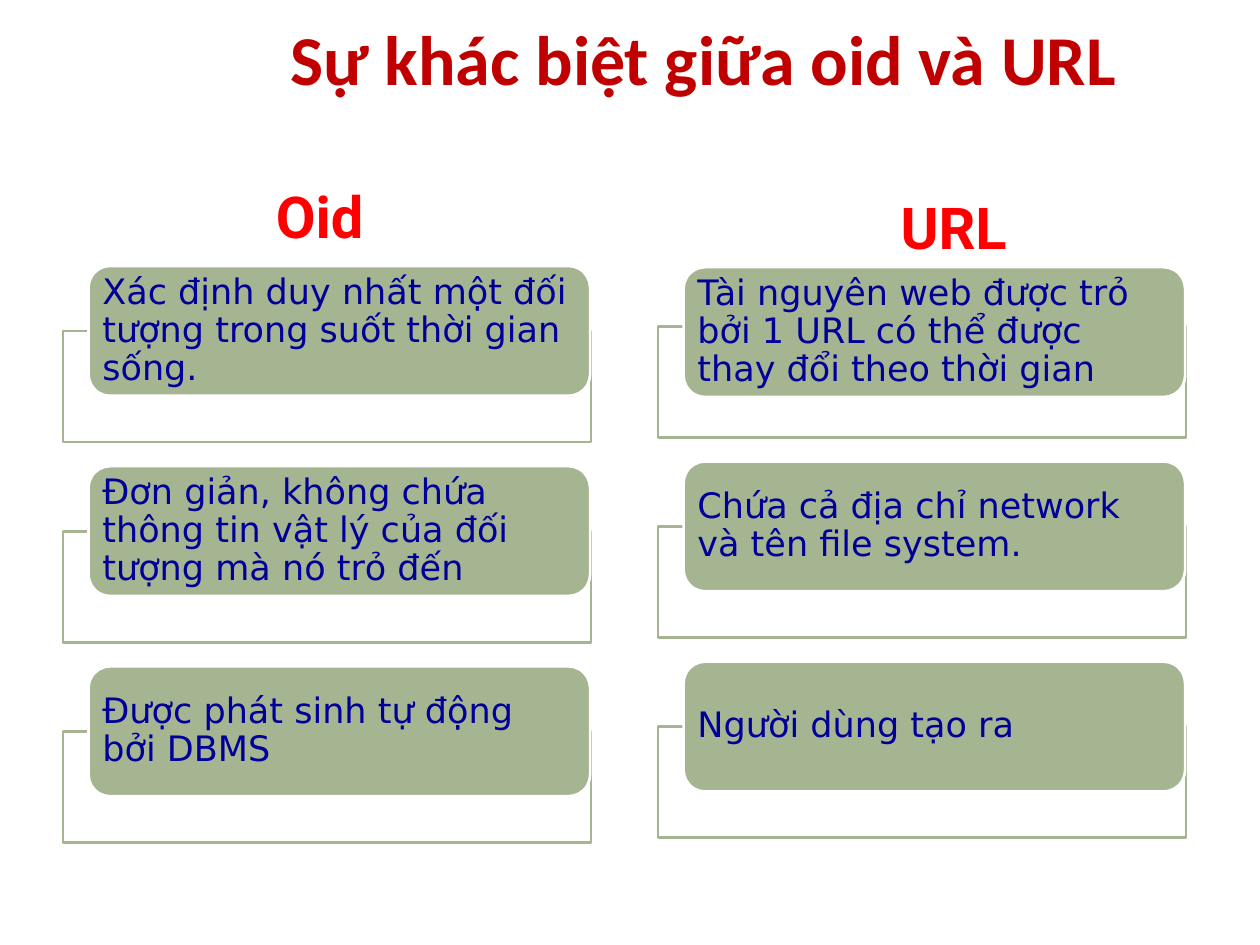
from dataclasses import dataclass

from pptx import Presentation
from pptx.dml.color import RGBColor
from pptx.enum.shapes import MSO_SHAPE
from pptx.enum.text import MSO_ANCHOR, MSO_AUTO_SIZE, PP_ALIGN
from pptx.util import Pt

SAGE, WHITE, NAVY = "A5B592", "FFFFFF", "000099"
ROW_PITCH = 114.4
FRAME_WIDTH, FRAME_HEIGHT = 301.7, 63.4
CARD_WIDTH, CARD_HEIGHT = 286.6, 74.2
CARD_INDENT = 14.6


@dataclass
class Column:
    heading: str
    heading_left: float
    heading_top: float
    heading_width: float
    left: float
    frame_top: float
    card_top: float
    first_card_shift: float
    points: list[str]


COLUMNS = [
    Column("Oid", 150.5, 100, 70, 36, 189.2, 152, 0, [
        "Xác định duy nhất một đối tượng trong suốt thời gian sống.",
        "Đơn giản, không chứa thông tin vật lý của đối tượng mà nó trỏ đến",
        "Được phát sinh tự động bởi DBMS",
    ]),
    Column("URL", 507.6, 106, 83, 376, 186.5, 149.3, 3.4, [
        "Tài nguyên web được trỏ bởi 1 URL có thể được thay đổi theo thời gian",
        "Chứa cả địa chỉ network và tên file system.",
        "Người dùng tạo ra",
    ]),
]


def color(value: str) -> RGBColor:
    return RGBColor.from_string(value)


def write(frame, text: str, font: str, size: float, ink: str, bold: bool = False):
    frame.text = text
    para = frame.paragraphs[0]
    span = para.runs[0].font
    span.name, span.size, span.bold = font, Pt(size), bold
    span.color.rgb = color(ink)
    return para


def draw_box(page, kind, left: float, top: float, width: float, height: float,
             fill: str, line: str):
    box = page.shapes.add_shape(kind, Pt(left), Pt(top), Pt(width), Pt(height))
    box.shadow.inherit = False
    box.fill.solid()
    box.fill.fore_color.rgb = color(fill)
    box.line.color.rgb = color(line)
    box.line.width = Pt(1.5)
    return box


def draw_card(page, left: float, top: float, text: str) -> None:
    card = draw_box(page, MSO_SHAPE.ROUNDED_RECTANGLE, left, top,
                    CARD_WIDTH, CARD_HEIGHT, SAGE, WHITE)
    frame = card.text_frame
    frame.word_wrap = True
    frame.vertical_anchor = MSO_ANCHOR.MIDDLE
    frame.margin_left = frame.margin_right = Pt(4.3)
    frame.margin_top = frame.margin_bottom = 0
    para = write(frame, text, "DejaVu Sans", 20, NAVY)
    para.alignment = PP_ALIGN.LEFT
    para.line_spacing = 0.9


def draw_column(page, column: Column) -> None:
    for row, point in enumerate(column.points):
        drop = row * ROW_PITCH
        draw_box(page, MSO_SHAPE.RECTANGLE, column.left, column.frame_top + drop,
                 FRAME_WIDTH, FRAME_HEIGHT, WHITE, SAGE)
        shift = column.first_card_shift if row == 0 else 0
        draw_card(page, column.left + CARD_INDENT, column.card_top + drop + shift, point)
    heading = page.shapes.add_textbox(Pt(column.heading_left), Pt(column.heading_top),
                                      Pt(column.heading_width), Pt(47.5))
    heading.text_frame.word_wrap = False
    heading.text_frame.auto_size = MSO_AUTO_SIZE.SHAPE_TO_FIT_TEXT
    write(heading.text_frame, column.heading, "Roboto", 33, "FF0000", bold=True)


def draw_title(page, text: str) -> None:
    title = page.shapes.title
    title.left, title.top, title.width, title.height = Pt(78), Pt(-12), Pt(648), Pt(90)
    title.text_frame.vertical_anchor = MSO_ANCHOR.MIDDLE
    para = write(title.text_frame, text, "Calibri", 40, "C00000", bold=True)
    para.alignment = PP_ALIGN.CENTER


def main() -> None:
    deck = Presentation()
    deck.slide_width, deck.slide_height = Pt(720), Pt(540)
    page = deck.slides.add_slide(deck.slide_layouts[5])
    draw_title(page, "Sự khác biệt giữa oid và URL")
    for column in COLUMNS:
        draw_column(page, column)
    deck.save("out.pptx")


if __name__ == "__main__":
    main()
